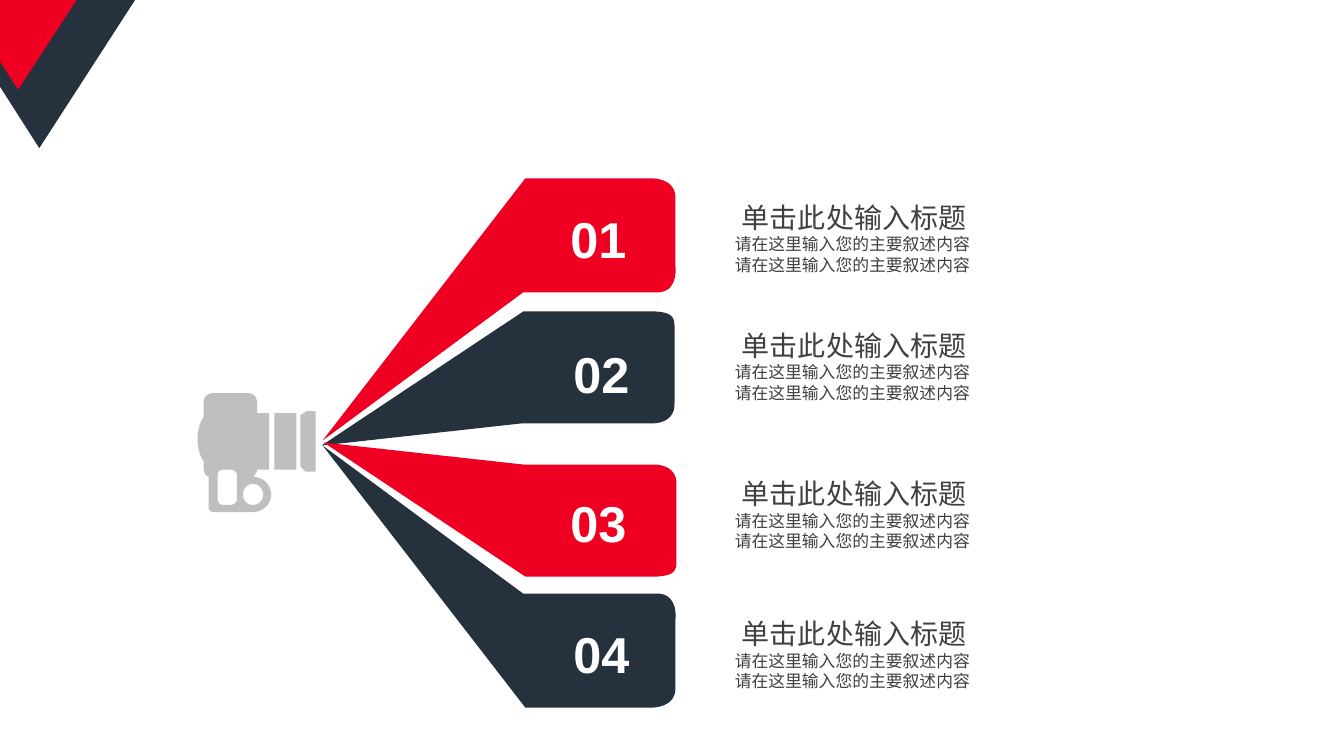
"""Build a slide with a camera projecting four numbered beams beside their captions."""
from dataclasses import dataclass

from pptx import Presentation
from pptx.dml.color import RGBColor
from pptx.enum.lang import MSO_LANGUAGE_ID
from pptx.enum.shapes import MSO_SHAPE
from pptx.enum.text import MSO_AUTO_SIZE, PP_ALIGN
from pptx.util import Inches, Pt


@dataclass(frozen=True)
class Theme:
    font: str = "Arial"
    red: str = "EF0023"
    navy: str = "25313D"
    gray: str = "BFBFBF"
    ink: str = "404040"
    white: str = "FFFFFF"
    number_size: int = 36
    title_size: int = 20
    body_size: int = 12


THEME = Theme()
TITLE = "单击此处输入标题"
BODY = ["请在这里输入您的主要叙述内容"] * 2

ITEMS = [
    ("01", 5.45, 2.02, 1.94),
    ("02", 5.48, 3.35, 3.21),
    ("03", 5.45, 4.83, 4.68),
    ("04", 5.48, 6.13, 6.07),
]

# Outlines hold points; a six-number entry is a cubic curve.
CORNER = [
    (THEME.navy, [(0.39, 1.47), (1.34, 0), (0, 0), (0, 0.86)]),
    (THEME.red, [(0, 0.61), (0.18, 0.89), (0.76, 0), (0, 0)]),
]
CAMERA_RING = [
    (2.51, 4.8), (2.45, 4.8, 2.41, 4.85, 2.41, 4.91),
    (2.41, 4.96, 2.45, 5.01, 2.51, 5.01), (2.57, 5.01, 2.61, 4.96, 2.61, 4.91),
    (2.61, 4.85, 2.57, 4.8, 2.51, 4.8),
]
CAMERA_GRIP = [
    (2.21, 4.66), (2.18, 4.66, 2.16, 4.68, 2.16, 4.71), (2.16, 4.95),
    (2.16, 4.98, 2.18, 5.01, 2.21, 5.01), (2.29, 5.01),
    (2.32, 5.01, 2.35, 4.98, 2.35, 4.95), (2.35, 4.71),
    (2.35, 4.68, 2.32, 4.66, 2.29, 4.66),
]
CAMERA_BODY = [
    (2.11, 3.9), (2.46, 3.9), (2.51, 3.9, 2.55, 3.94, 2.55, 3.99), (2.55, 4.1),
    (2.67, 4.1), (2.67, 4.66), (2.55, 4.66), (2.55, 4.68),
    (2.54, 4.69, 2.53, 4.7, 2.53, 4.71), (2.51, 4.73),
    (2.61, 4.73, 2.69, 4.81, 2.69, 4.91), (2.69, 5, 2.61, 5.08, 2.51, 5.08),
    (2.12, 5.08), (2.09, 5.08, 2.07, 5.06, 2.07, 5.03), (2.07, 4.73),
    (2.04, 4.71), (2.03, 4.69, 2.02, 4.67, 2.02, 4.64), (2.02, 4.58),
    (2.01, 4.56), (1.98, 4.51, 1.96, 4.44, 1.96, 4.36),
    (1.96, 4.28, 1.98, 4.2, 2.01, 4.15), (2.02, 4.14), (2.02, 3.99),
    (2.02, 3.94, 2.06, 3.9, 2.11, 3.9),
]
LENS_BARREL = (2.72, 4.1, 0.22, 0.56)
LENS_HOOD = [(3.13, 4.68), (3.13, 4.08), (3.04, 4.08), (2.98, 4.12), (2.98, 4.63), (3.03, 4.68)]
OUTER_BEAM = [
    (3.2, 4.37), (5.21, 1.77), (6.48, 1.77), (6.6, 1.78, 6.69, 1.83, 6.7, 1.95),
    (6.7, 2.65), (6.71, 2.78, 6.66, 2.89, 6.54, 2.9), (5.19, 2.9),
]
INNER_BEAM = [
    (3.19, 4.42), (5.19, 3.09), (6.5, 3.09), (6.64, 3.1, 6.69, 3.13, 6.69, 3.23),
    (6.69, 4), (6.7, 4.15, 6.57, 4.21, 6.44, 4.2), (5.18, 4.2),
]


def mirror(outline, height, shift=0):
    """Flip an outline top to bottom and shift it sideways."""
    return [tuple(height - value if index % 2 else value + shift
                  for index, value in enumerate(entry)) for entry in outline]


def flatten(outline, steps=10):
    """Turn lines and cubic curves into points."""
    points = []
    for entry in outline:
        if len(entry) == 2:
            points.append(entry)
            continue
        corners = [points[-1], entry[:2], entry[2:4], entry[4:]]
        for step in range(1, steps + 1):
            t = step / steps
            weights = ((1 - t) ** 3, 3 * t * (1 - t) ** 2, 3 * t * t * (1 - t), t ** 3)
            points.append(tuple(sum(w * corner[axis] for w, corner in zip(weights, corners))
                                for axis in (0, 1)))
    return [(Inches(x), Inches(y)) for x, y in points]


def paint(shape, color):
    """Give a shape a flat fill."""
    shape.shadow.inherit = False
    shape.fill.solid()
    shape.fill.fore_color.rgb = RGBColor.from_string(color)
    shape.line.fill.background()


def add_outline(page, color, *contours):
    """Draw closed contours as one filled freeform."""
    first, *others = [flatten(contour) for contour in contours]
    builder = page.shapes.build_freeform(*first[0])
    builder.add_line_segments(first[1:], close=True)
    for points in others:
        builder.move_to(*points[0])
        builder.add_line_segments(points[1:], close=True)
    paint(builder.convert_to_shape(), color)


def add_text(page, place, lines, *, sizes, color, bold=False, align=PP_ALIGN.LEFT,
             wrap=True, first_indent=0):
    """Add a text box with one paragraph per line."""
    box = page.shapes.add_textbox(*map(Inches, place))
    frame = box.text_frame
    frame.word_wrap = wrap
    frame.auto_size = MSO_AUTO_SIZE.SHAPE_TO_FIT_TEXT
    for index, (line, size) in enumerate(zip(lines, sizes)):
        para = frame.add_paragraph() if index else frame.paragraphs[0]
        para.alignment = align
        if first_indent and not index:
            para._p.get_or_add_pPr().set("marL", str(Inches(first_indent)))
        span = para.add_run()
        span.text = line
        span.font.name = THEME.font
        span.font.size = Pt(size)
        span.font.bold = bold
        span.font.color.rgb = RGBColor.from_string(color)
        span.font.language_id = MSO_LANGUAGE_ID.SIMPLIFIED_CHINESE


def main():
    """Assemble and save the deck."""
    deck = Presentation()
    deck.slide_width, deck.slide_height = Inches(13.33), Inches(7.5)
    page = deck.slides.add_slide(deck.slide_layouts[6])

    for color, outline in CORNER:
        add_outline(page, color, outline)

    add_outline(page, THEME.gray, CAMERA_RING, CAMERA_GRIP, CAMERA_BODY)
    paint(page.shapes.add_shape(MSO_SHAPE.RECTANGLE, *map(Inches, LENS_BARREL)), THEME.gray)
    add_outline(page, THEME.gray, LENS_HOOD)

    add_outline(page, THEME.red, OUTER_BEAM)
    add_outline(page, THEME.navy, mirror(OUTER_BEAM, 8.79))
    add_outline(page, THEME.navy, INNER_BEAM)
    add_outline(page, THEME.red, mirror(INNER_BEAM, 8.81, shift=0.02))

    for number, left, number_top, caption_top in ITEMS:
        add_text(page, (left, number_top, 0.97, 0.71), [number], sizes=[THEME.number_size],
                 color=THEME.white, bold=True, align=PP_ALIGN.CENTER)
        add_text(page, (7.19, caption_top, 2.56, 1.38), [TITLE, *BODY],
                 sizes=[THEME.title_size, THEME.body_size, THEME.body_size],
                 color=THEME.ink, wrap=False, first_indent=0.07)

    deck.save("out.pptx")


if __name__ == "__main__":
    main()
